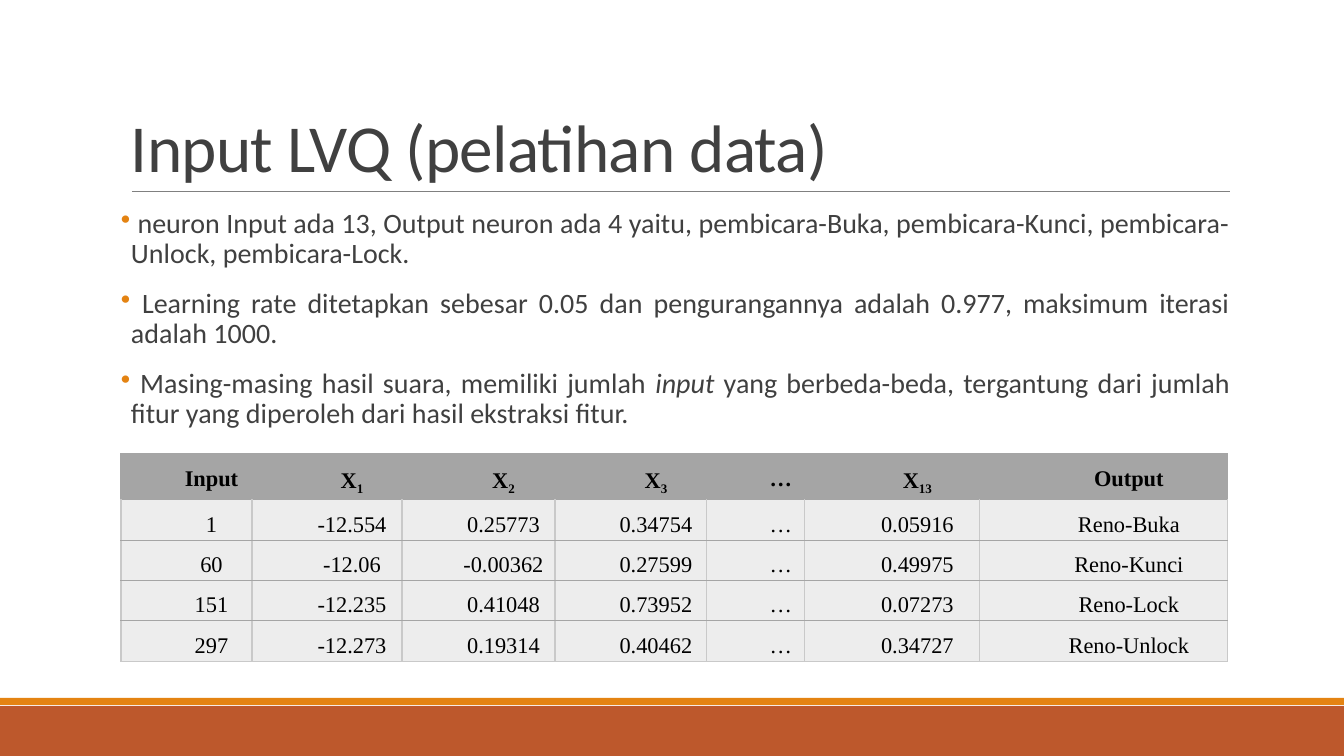
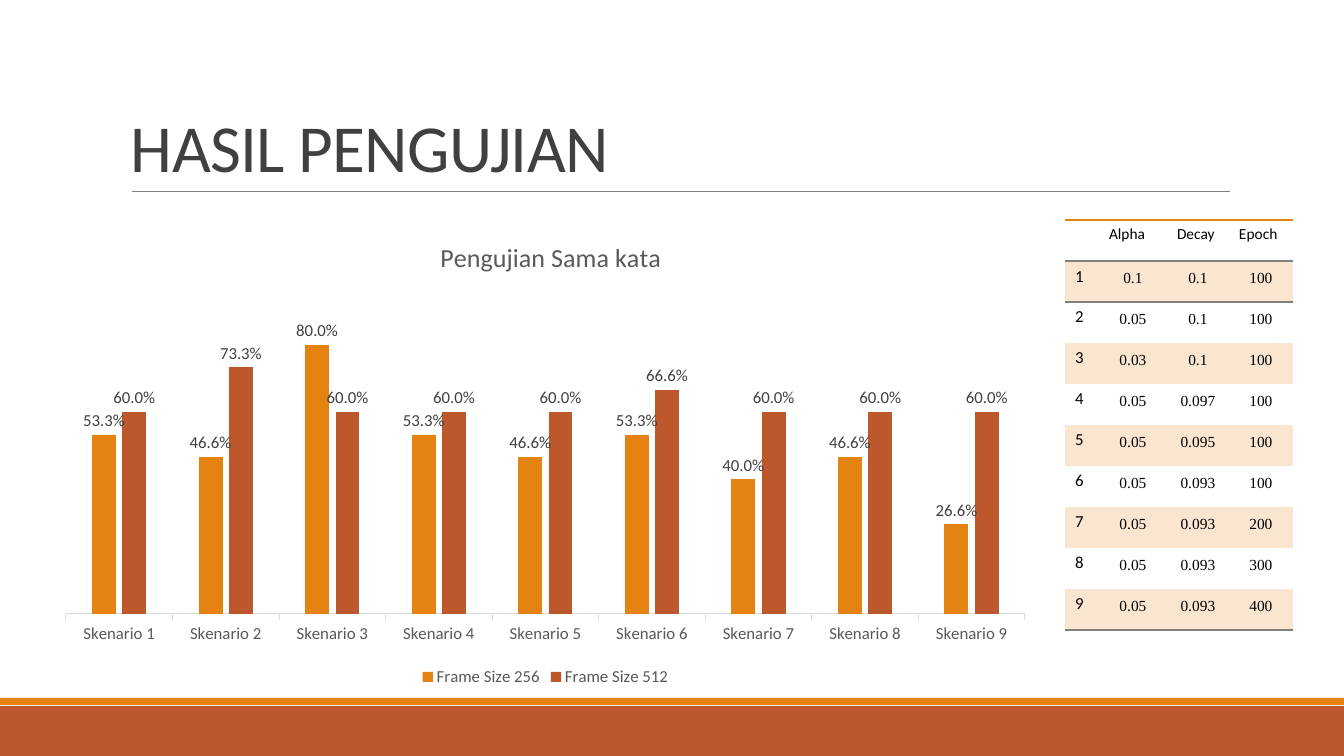
import pptx
import pptx.chart.data
import pptx.dml.color
import pptx.enum.chart
import pptx.enum.shapes
import pptx.enum.text
import pptx.oxml
import pptx.oxml.ns
import pptx.util

SLIDE_W, SLIDE_H = 1344, 756
EMU_PER_PX = 12192000 / SLIDE_W
RUST, ORANGE, PEACH = "BD582C", "E48312", "FAE6D0"
INK, LABEL_INK, RULE, BLACK = "404040", "595959", "808080", "000000"
GREY, PALE, MIST, AXIS = "A5A5A5", "C9C9C9", "EDEDED", "D9D9D9"
SANS, SERIF = "Calibri", "Times New Roman"
NO_GRID = "{2D5ABB26-0587-4C30-8999-92F81FD0307C}"
CENTER = pptx.enum.text.PP_ALIGN.CENTER

POINTS = [
    [(" neuron Input ada 13, Output neuron ada 4 yaitu, pembicara-Buka, "
      "pembicara-Kunci, pembicara-Unlock, pembicara-Lock.", False)],
    [(" Learning rate ditetapkan sebesar 0.05 dan pengurangannya adalah 0.977, "
      "maksimum iterasi adalah 1000.", False)],
    [(" Masing-masing hasil suara, memiliki jumlah ", False), ("input ", True),
     ("yang berbeda-beda, tergantung dari jumlah fitur yang diperoleh dari hasil "
      "ekstraksi fitur.", False)],
]
TRAINING = [
    ["Input", ("X", "1"), ("X", "2"), ("X", "3"), "…", ("X", "13"), "Output"],
    ["1", "-12.554", "0.25773", "0.34754", "…", "0.05916", "Reno-Buka"],
    ["60", "-12.06", "-0.00362", "0.27599", "…", "0.49975", "Reno-Kunci"],
    ["151", "-12.235", "0.41048", "0.73952", "…", "0.07273", "Reno-Lock"],
    ["297", "-12.273", "0.19314", "0.40462", "…", "0.34727", "Reno-Unlock"],
]
SCENARIOS = [
    ["", "Alpha", "Decay", "Epoch"],
    ["1", "0.1", "0.1", "100"],
    ["2", "0.05", "0.1", "100"],
    ["3", "0.03", "0.1", "100"],
    ["4", "0.05", "0.097", "100"],
    ["5", "0.05", "0.095", "100"],
    ["6", "0.05", "0.093", "100"],
    ["7", "0.05", "0.093", "200"],
    ["8", "0.05", "0.093", "300"],
    ["9", "0.05", "0.093", "400"],
]
ACCURACY = {
    "Frame Size 256": (ORANGE, [0.533, 0.466, 0.8, 0.533, 0.466, 0.533, 0.4, 0.466, 0.266]),
    "Frame Size 512": (RUST, [0.6, 0.733, 0.6, 0.6, 0.6, 0.666, 0.6, 0.6, 0.6]),
}


def px(length):
    """Turn a length in px into EMU."""
    return pptx.util.Emu(round(length * EMU_PER_PX))


def rgb(color):
    """Turn a hex string into a colour."""
    return pptx.dml.color.RGBColor.from_string(color)


def assign(target, values):
    """Set every attribute named in values."""
    for name, value in values.items():
        setattr(target, name, value)


def style(font, size, color, name=SANS, **values):
    """Give a font its size, colour, face and further values."""
    assign(font, {"size": pptx.util.Pt(size), "name": name, **values})
    font.color.rgb = rgb(color)


def add_xml(parent, tag, **attributes):
    """Append a child element with the given attributes."""
    child = pptx.oxml.ns.qn(tag)
    element = parent.makeelement(child, attributes)
    parent.append(element)
    return element


def paint(fill, color):
    """Fill with a plain colour, or with nothing."""
    if color:
        fill.solid()
        fill.fore_color.rgb = rgb(color)
    else:
        fill.background()


def add_band(slide, top, height, color):
    """Draw a band across the slide."""
    band = slide.shapes.add_shape(pptx.enum.shapes.MSO_SHAPE.RECTANGLE,
                                  0, px(top), px(SLIDE_W), px(height))
    band.shadow.inherit = False
    paint(band.fill, color)
    band.line.fill.background()


def add_text(slide, box, **frame):
    """Place a wrapping text frame in the box."""
    text = slide.shapes.add_textbox(*map(px, box)).text_frame
    assign(text, {"word_wrap": True, **frame})
    return text


def add_page(deck, heading):
    """Add a slide with its bands, title and rule."""
    slide = deck.slides.add_slide(deck.slide_layouts[6])
    add_band(slide, 706, 50, RUST)
    add_band(slide, 698, 7, ORANGE)
    rule = slide.shapes.add_connector(pptx.enum.shapes.MSO_CONNECTOR.STRAIGHT,
                                      px(132), px(191), px(1230), px(191))
    rule.line.color.rgb = rgb(RULE)
    rule.line.width = pptx.util.Pt(0.5)
    add_xml(rule._element.spPr, "a:effectLst")
    title = add_text(slide, (121, 31, 1109, 160),
                     vertical_anchor=pptx.enum.text.MSO_ANCHOR.BOTTOM).paragraphs[0]
    title.line_spacing = 0.85
    run = title.add_run()
    run.text = heading
    style(run.font, 48, INK)
    run._r.get_or_add_rPr().set("spc", "-50")
    return slide


def add_points(slide, box, points):
    """Write the justified bullet list."""
    body = add_text(slide, box, margin_left=0, margin_right=0)
    for index, pieces in enumerate(points):
        point = body.add_paragraph() if index else body.paragraphs[0]
        assign(point, {"alignment": pptx.enum.text.PP_ALIGN.JUSTIFY, "line_spacing": 0.9,
                       "space_before": pptx.util.Pt(12), "space_after": pptx.util.Pt(2)})
        properties = point._p.get_or_add_pPr()
        properties.set("marL", str(px(10)))
        properties.set("indent", str(-px(10)))
        add_xml(add_xml(properties, "a:buClr"), "a:srgbClr", val=ORANGE)
        add_xml(properties, "a:buChar", char="•")
        for words, italic in pieces:
            run = point.add_run()
            run.text = words
            style(run.font, 20, INK, italic=italic)


def add_grid(slide, corner, widths, heights, rows, dress):
    """Place a plain table and dress each of its cells."""
    box = (*corner, sum(widths), sum(heights))
    table = slide.shapes.add_table(len(rows), len(widths), *map(px, box)).table
    assign(table, {"first_row": False, "horz_banding": False})
    table._tbl.tblPr.find(pptx.oxml.ns.qn("a:tableStyleId")).text = NO_GRID
    for column, width in zip(table.columns, widths):
        column.width = px(width)
    for row, height in zip(table.rows, heights):
        row.height = px(height)
    for r, row in enumerate(rows):
        for c, content in enumerate(row):
            dress(table.cell(r, c), r, c, content)


def add_borders(cell, **sides):
    """Draw one-point borders on the sides named L, R, T and B."""
    properties = cell._tc.get_or_add_tcPr()
    for side in "LRTB":
        if sides.get(side):
            line = add_xml(properties, "a:ln" + side, w="12700")
            add_xml(add_xml(line, "a:solidFill"), "a:srgbClr", val=sides[side])


def set_tight(cell):
    """Centre a cell's text with narrow margins and wide lines."""
    assign(cell, {"margin_left": px(7), "margin_right": px(7),
                  "margin_top": 0, "margin_bottom": 0})
    paragraph = cell.text_frame.paragraphs[0]
    assign(paragraph, {"alignment": CENTER, "line_spacing": 1.5})
    return paragraph


def dress_training(cell, r, c, content):
    """Format one cell of the training data."""
    header, last = r == 0, r == len(TRAINING) - 1
    paragraph = set_tight(cell)
    paragraph._p.get_or_add_pPr().set("indent", str(px(50)))
    for index, part in enumerate([content] if isinstance(content, str) else content):
        run = paragraph.add_run()
        run.text = part
        style(run.font, 16, BLACK, SERIF, bold=header)
        if index:
            run._r.get_or_add_rPr().set("baseline", "-25000")
    side = None if header else PALE
    add_borders(cell, L=GREY if header and c == 0 else side,
                R=GREY if header and c == len(TRAINING[0]) - 1 else side,
                T=GREY, B=PALE if last else GREY)
    paint(cell.fill, GREY if header else MIST)


def dress_scenario(cell, r, c, content):
    """Format one cell of the scenario settings."""
    if r and c:
        paragraph = set_tight(cell)
        paragraph.space_after = pptx.util.Pt(10)
    else:
        paragraph = cell.text_frame.paragraphs[0]
    if content:
        run = paragraph.add_run()
        run.text = content
        style(run.font, 12 if r and not c else 11, BLACK, SERIF if r and c else SANS)
    add_borders(cell, T={0: ORANGE, 1: RULE}.get(r),
                B=RULE if r in (0, len(SCENARIOS) - 1) else None)
    paint(cell.fill, PEACH if r % 2 else None)


def set_layout(parent, **values):
    """Fix the place of a chart part as fractions of the chart."""
    layout = parent.find(pptx.oxml.ns.qn("c:layout"))
    if layout is None:
        layout = parent.makeelement(pptx.oxml.ns.qn("c:layout"), {})
        place = 1 if parent.tag == pptx.oxml.ns.qn("c:title") else 0
        parent.insert(place, layout)
    manual = add_xml(layout, "c:manualLayout")
    if "w" in values:
        add_xml(manual, "c:layoutTarget", val="inner")
    for mode in ("xMode", "yMode"):
        add_xml(manual, "c:" + mode, val="edge")
    for name, value in values.items():
        add_xml(manual, "c:" + name, val=str(value))


def add_accuracy(slide, box):
    """Place the column chart of accuracy by scenario."""
    data = pptx.chart.data.CategoryChartData(number_format="0.0%")
    data.categories = [f"Skenario {number}" for number in range(1, 10)]
    for name, (color, values) in ACCURACY.items():
        data.add_series(name, values)
    chart = slide.shapes.add_chart(pptx.enum.chart.XL_CHART_TYPE.COLUMN_CLUSTERED,
                                   *map(px, box), data).chart
    style(chart.font, 10, BLACK)
    heading = chart.chart_title.text_frame.paragraphs[0].add_run()
    heading.text = "Pengujian Sama kata"
    style(heading.font, 18.6, LABEL_INK, bold=False)
    chart.chart_title.include_in_layout = False
    set_layout(chart.chart_title._element, x=0.39, y=0.05)
    set_layout(chart._chartSpace.chart.plotArea, x=0.02, y=0.14, w=0.96, h=0.7)

    chart.has_legend = True
    assign(chart.legend, {"position": pptx.enum.chart.XL_LEGEND_POSITION.BOTTOM,
                          "include_in_layout": False})
    style(chart.legend.font, 12, LABEL_INK)
    assign(chart.value_axis, {"visible": False, "minimum_scale": 0, "maximum_scale": 1,
                              "has_major_gridlines": False})
    scenarios = chart.category_axis
    scenarios.major_tick_mark = pptx.enum.chart.XL_TICK_MARK.OUTSIDE
    style(scenarios.tick_labels.font, 12, LABEL_INK)
    scenarios.format.line.color.rgb = rgb(AXIS)
    scenarios.format.line.width = pptx.util.Pt(0.75)

    plot = chart.plots[0]
    assign(plot, {"gap_width": 219, "overlap": -27, "vary_by_categories": False})
    for series, (color, values) in zip(plot.series, ACCURACY.values()):
        paint(series.format.fill, color)
        assign(series.data_labels, {
            "show_value": True, "number_format": "0.0%", "number_format_is_linked": False,
            "position": pptx.enum.chart.XL_LABEL_POSITION.OUTSIDE_END})
        style(series.data_labels.font, 12, INK)


def build_training(deck):
    """Build the slide on the training input."""
    slide = add_page(deck, "Input LVQ (pelatihan data)")
    add_points(slide, (121, 204, 1109, 239), POINTS)
    add_grid(slide, (121, 454), [131, 150, 153, 152, 98, 175, 248],
             [43] + [37] * 4, TRAINING, dress_training)


def build_results(deck):
    """Build the slide on the test results."""
    slide = add_page(deck, "HASIL PENGUJIAN")
    add_accuracy(slide, (46, 210, 999, 481))
    add_grid(slide, (1065, 220), [34, 68, 62, 64], [41] * 10, SCENARIOS, dress_scenario)


def main():
    """Build and save the deck."""
    deck = pptx.Presentation()
    assign(deck, {"slide_width": px(SLIDE_W), "slide_height": px(SLIDE_H)})
    build_training(deck)
    build_results(deck)
    deck.save("out.pptx")


if __name__ == "__main__":
    main()
